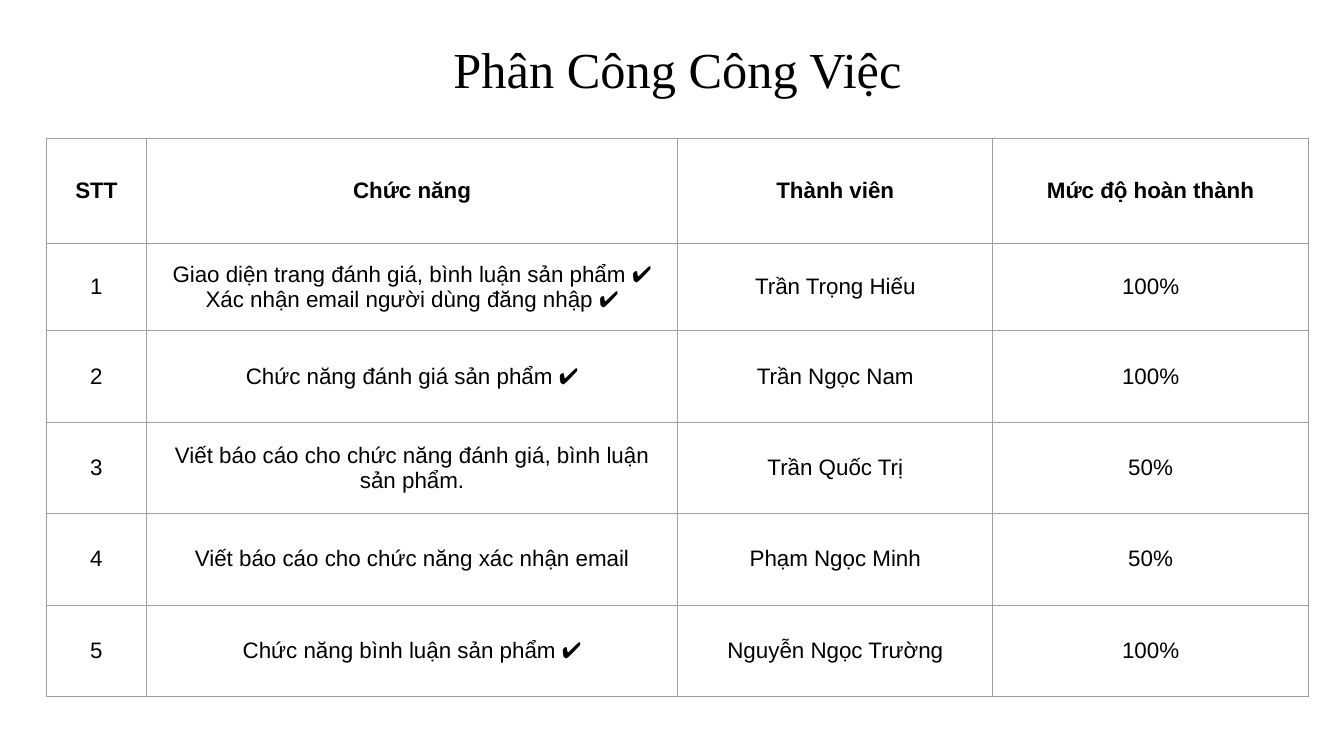
from lxml.etree import SubElement
from pptx import Presentation
from pptx.dml.color import RGBColor
from pptx.enum.text import MSO_ANCHOR, PP_ALIGN
from pptx.oxml.ns import qn
from pptx.util import Pt

TITLE = "Phân Công Công Việc"
HEADER = ("STT", "Chức năng", "Thành viên", "Mức độ hoàn thành")
# Each task: function lines, member, completion
TASKS = [
    (["Giao diện trang đánh giá, bình luận sản phẩm ✔️",
      "Xác nhận email người dùng đăng nhập ✔️"], "Trần Trọng Hiếu", "100%"),
    (["Chức năng đánh giá sản phẩm ✔️"], "Trần Ngọc Nam", "100%"),
    (["Viết báo cáo cho chức năng đánh giá, bình luận sản phẩm."], "Trần Quốc Trị", "50%"),
    (["Viết báo cáo cho chức năng xác nhận email"], "Phạm Ngọc Minh", "50%"),
    (["Chức năng bình luận sản phẩm ✔️"], "Nguyễn Ngọc Trường", "100%"),
]

BLACK = RGBColor(0x00, 0x00, 0x00)
BORDER_GRAY = RGBColor(0x9E, 0x9E, 0x9E)
BORDER_WIDTH = Pt(0.75)
CELL_MARGIN = Pt(7.2)
COLUMN_WIDTHS = (71.5, 379.5, 225.2, 225.2)
ROW_HEIGHTS = (75, 62.6) + (65.3,) * 4
TABLE_LEFT, TABLE_TOP = 33.1, 98.7


def write_text(text_frame, lines, font="Arial", size=16, bold=False):
    for index, line in enumerate(lines):
        paragraph = text_frame.paragraphs[0] if index == 0 else text_frame.add_paragraph()
        paragraph.alignment = PP_ALIGN.CENTER
        run = paragraph.add_run()
        run.text = line
        run.font.name = font
        run.font.size = Pt(size)
        run.font.bold = bold
        run.font.color.rgb = BLACK


def add_borders(cell):
    properties = cell._tc.get_or_add_tcPr()
    for position, side in enumerate(("a:lnL", "a:lnR", "a:lnT", "a:lnB")):
        line = SubElement(properties, qn(side), w=str(BORDER_WIDTH))
        fill = SubElement(line, qn("a:solidFill"))
        SubElement(fill, qn("a:srgbClr"), val=str(BORDER_GRAY))
        properties.insert(position, line)


def add_title(slide):
    title = slide.shapes.add_textbox(Pt(64), Pt(23.8), Pt(840), Pt(51))
    title.text_frame.word_wrap = True
    write_text(title.text_frame, [TITLE], font="Times New Roman", size=36)


def add_task_table(slide):
    rows = [[[heading] for heading in HEADER]]
    for number, (functions, member, completion) in enumerate(TASKS, start=1):
        rows.append([[str(number)], functions, [member], [completion]])

    frame = slide.shapes.add_table(
        len(rows), len(HEADER), Pt(TABLE_LEFT), Pt(TABLE_TOP),
        Pt(sum(COLUMN_WIDTHS)), Pt(sum(ROW_HEIGHTS)))
    table = frame.table
    table.horz_banding = False
    for column, width in zip(table.columns, COLUMN_WIDTHS):
        column.width = Pt(width)
    for row, height in zip(table.rows, ROW_HEIGHTS):
        row.height = Pt(height)

    for row_index, row in enumerate(rows):
        for column_index, lines in enumerate(row):
            cell = table.cell(row_index, column_index)
            cell.fill.background()
            cell.vertical_anchor = MSO_ANCHOR.MIDDLE
            cell.margin_left = cell.margin_right = CELL_MARGIN
            cell.margin_top = cell.margin_bottom = CELL_MARGIN
            write_text(cell.text_frame, lines, bold=row_index == 0)
            add_borders(cell)


def main():
    presentation = Presentation()
    presentation.slide_width, presentation.slide_height = Pt(960), Pt(540)
    slide = presentation.slides.add_slide(presentation.slide_layouts[6])
    add_title(slide)
    add_task_table(slide)
    presentation.save("out.pptx")


if __name__ == "__main__":
    main()
